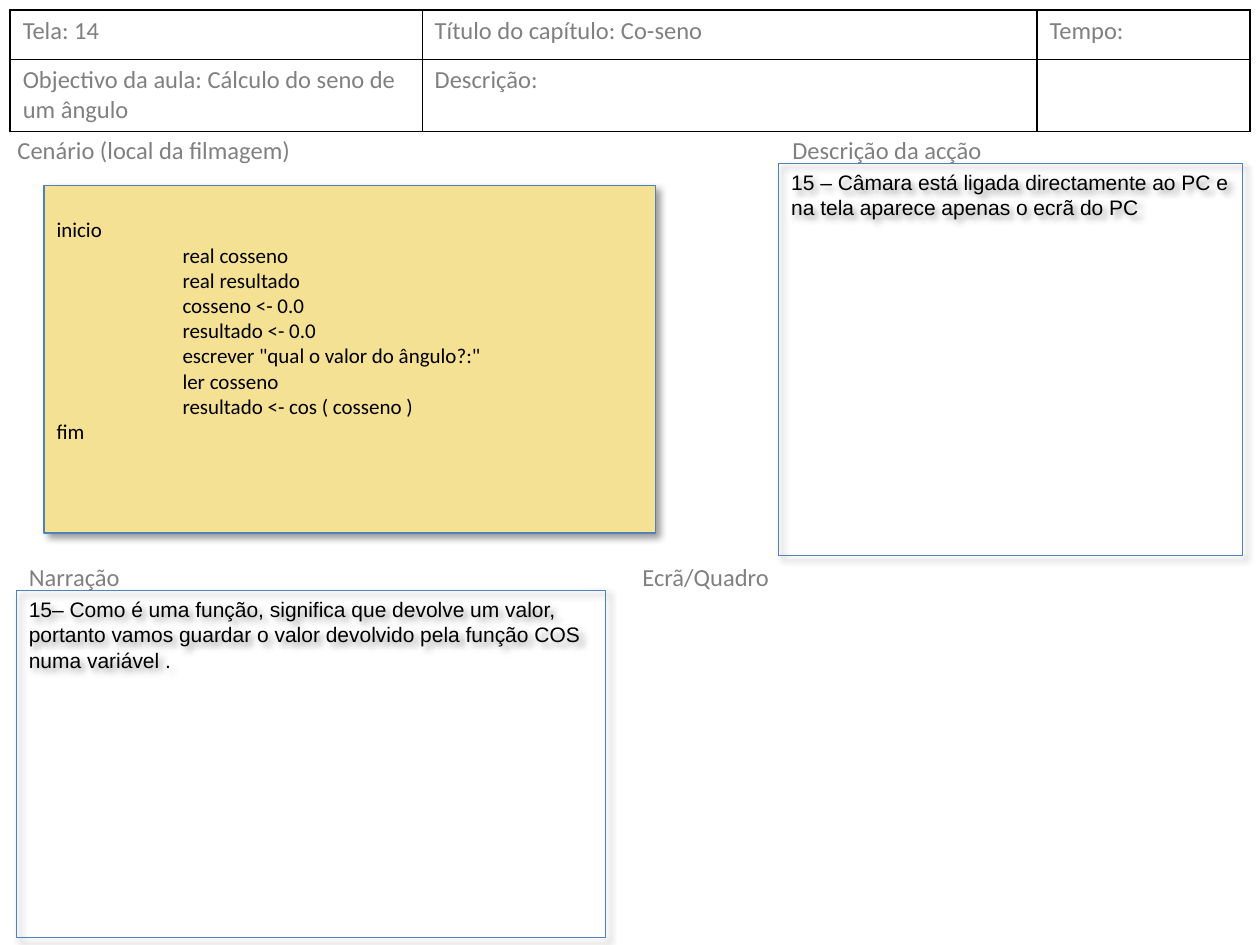
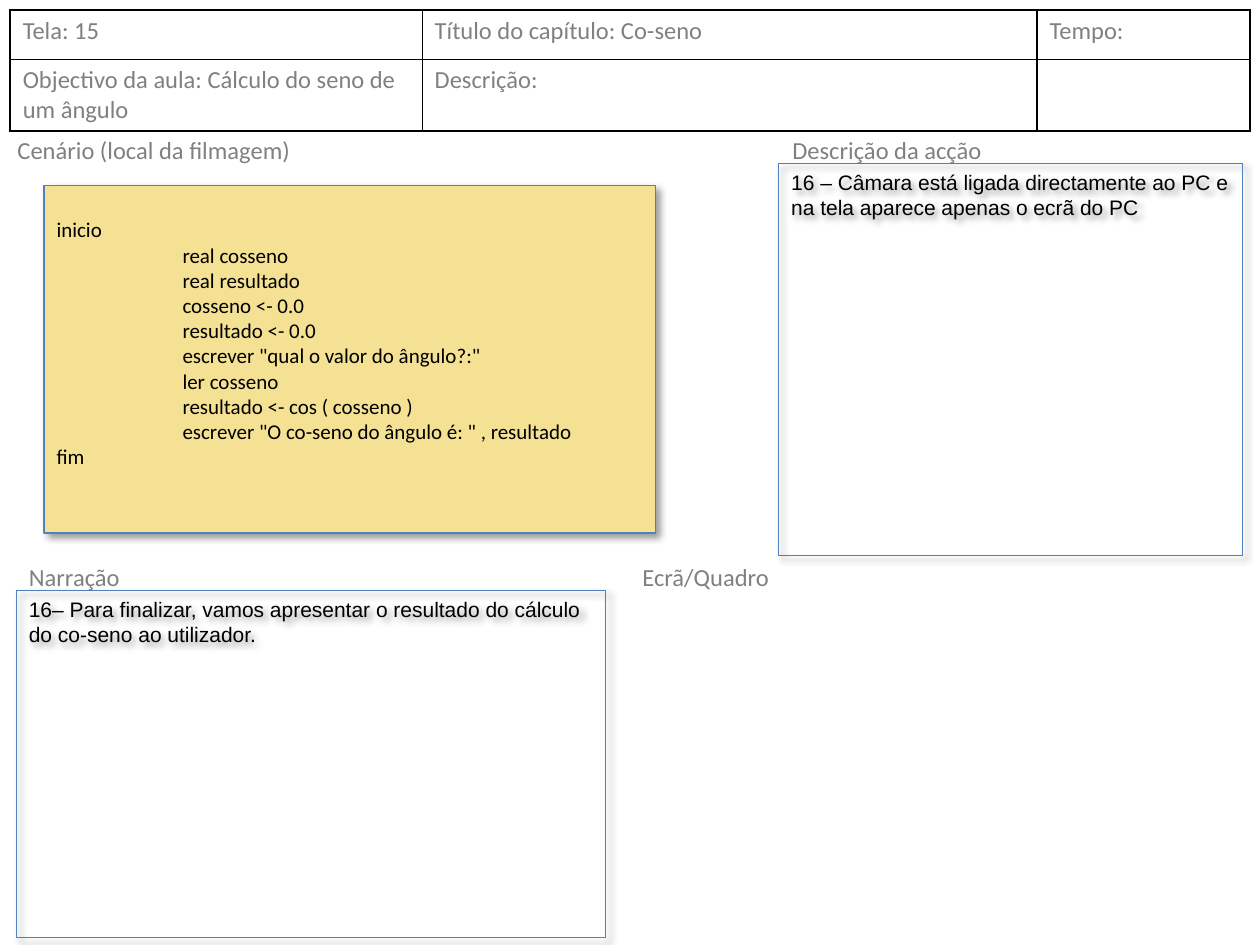
from lxml.etree import SubElement
from pptx import Presentation
from pptx.dml.color import RGBColor
from pptx.enum.shapes import MSO_SHAPE as Shape
from pptx.enum.text import MSO_ANCHOR as Anchor, MSO_AUTO_SIZE as AutoSize, PP_ALIGN as Align
from pptx.oxml.ns import qn
from pptx.util import Pt

BLACK = RGBColor(0x00, 0x00, 0x00)
GREY = RGBColor(0x80, 0x80, 0x80)
BLUE = RGBColor(0x4F, 0x81, 0xBD)
SAND = RGBColor(0xF4, 0xE1, 0x93)

LABEL_FONT = {"name": "Calibri", "size": Pt(14)}
CODE_FONT = {"name": "Calibri", "size": Pt(12)}
NOTE_FONT = {"name": "Arial", "size": Pt(12)}

COLUMN_WIDTHS = (235.4, 351.4, 121.7)
ROW_HEIGHTS = (28.1, 41)
THICK, THIN = 1, 0.5

LABELS = (
    ("Cenário (local da filmagem)", 2.9, 73.4, 300),
    ("Narração", 9.4, 317.5, 334),
    ("Ecrã/Quadro", 360, 317.5, 334),
    ("Descrição da acção", 445.7, 73.4, 181.4),
)
NARRATION_AREA = (9.4, 337.4, 336.7, 198.5)
CODE_AREA = (25.2, 106, 349.2, 198.7)
ACTION_AREA = (445, 93.4, 265, 224)

PROGRAM = (
    "real cosseno",
    "real resultado",
    "cosseno <- 0.0",
    "resultado <- 0.0",
    'escrever "qual o valor do ângulo?:"',
    "ler cosseno",
    "resultado <- cos ( cosseno )",
)
SCENES = (
    {
        "screen": 14,
        "narration": "15– Como é uma função, significa que devolve um valor, portanto "
                     "vamos guardar o valor devolvido pela função COS numa variável .",
        "program": PROGRAM,
    },
    {
        "screen": 15,
        "narration": "16– Para finalizar, vamos apresentar o resultado do cálculo "
                     "do co-seno ao utilizador.",
        "program": PROGRAM + ('escrever "O co-seno do ângulo é: " , resultado',),
    },
)


def apply_format(target, values):
    for name, value in values.items():
        setattr(target, name, value)


def write(para, text, font, color):
    span = para.add_run()
    span.text = text
    apply_format(span.font, font)
    span.font.color.rgb = color


def add_label(page, text, left, top, width):
    box = page.shapes.add_textbox(Pt(left), Pt(top), Pt(width), Pt(24.5))
    apply_format(box.text_frame, {"word_wrap": True, "auto_size": AutoSize.SHAPE_TO_FIT_TEXT})
    write(box.text_frame.paragraphs[0], text, LABEL_FONT, GREY)


def add_shadow(box):
    box.shadow.inherit = False
    effects = box._element.spPr.find(qn("a:effectLst"))
    shadow = SubElement(effects, qn("a:outerShdw"), blurRad=str(Pt(4)), dist=str(Pt(3)),
                        dir="2700000", algn="tl", rotWithShape="0")
    color = SubElement(shadow, qn("a:srgbClr"), val=str(BLACK))
    SubElement(color, qn("a:alpha"), val="40000")


def add_panel(page, area, lines, font, fill=None, margin_top=3.6):
    box = page.shapes.add_shape(Shape.RECTANGLE, *map(Pt, area))
    add_shadow(box)
    if fill is None:
        box.fill.background()
    else:
        box.fill.solid()
        box.fill.fore_color.rgb = fill
    box.line.color.rgb = BLUE
    box.line.width = Pt(0.75)
    frame = box.text_frame
    apply_format(frame, {"word_wrap": True, "vertical_anchor": Anchor.TOP,
                         "margin_top": Pt(margin_top)})
    for index, (text, indent) in enumerate(lines):
        para = frame.paragraphs[0] if index == 0 else frame.add_paragraph()
        para.alignment = Align.LEFT
        if indent:
            para._p.get_or_add_pPr().set("marL", str(Pt(indent)))
        write(para, text, font, BLACK)


def set_borders(cell, widths):
    properties = cell._tc.get_or_add_tcPr()
    for side, width in zip("LRTB", widths):
        edge = SubElement(properties, qn(f"a:ln{side}"), w=str(Pt(width)))
        fill = SubElement(edge, qn("a:solidFill"))
        SubElement(fill, qn("a:srgbClr"), val=str(BLACK))


def add_header(page, screen):
    texts = (
        (f"Tela: {screen}", "Título do capítulo: Co-seno", "Tempo:"),
        ("Objectivo da aula: Cálculo do seno de um ângulo", "Descrição:", ""),
    )
    table = page.shapes.add_table(2, 3, Pt(5.8), Pt(5.8), Pt(sum(COLUMN_WIDTHS)),
                                  Pt(sum(ROW_HEIGHTS))).table
    apply_format(table, {"first_row": False, "horz_banding": False})
    for column, width in zip(table.columns, COLUMN_WIDTHS):
        column.width = Pt(width)
    for row, height in zip(table.rows, ROW_HEIGHTS):
        row.height = Pt(height)
    vertical = (THICK, THIN, THICK, THICK)
    horizontal = (THICK, THIN, THICK)
    for r, row_texts in enumerate(texts):
        for c, text in enumerate(row_texts):
            cell = table.cell(r, c)
            set_borders(cell, vertical[c:c + 2] + horizontal[r:r + 2])
            cell.fill.background()
            if text:
                write(cell.text_frame.paragraphs[0], text, LABEL_FONT, GREY)


def add_scene(deck, scene):
    page = deck.slides.add_slide(deck.slide_layouts[6])
    add_header(page, scene["screen"])
    add_panel(page, NARRATION_AREA, [(scene["narration"], 0)], NOTE_FONT)
    code = [("inicio", 0), *((line, 72) for line in scene["program"]), ("fim", 0)]
    add_panel(page, CODE_AREA, code, CODE_FONT, fill=SAND, margin_top=18)
    action = (f"{scene['screen'] + 1} – Câmara está ligada directamente ao PC e "
              "na tela aparece apenas o ecrã do PC")
    add_panel(page, ACTION_AREA, [(action, 0)], NOTE_FONT)
    for label in LABELS:
        add_label(page, *label)


def main():
    deck = Presentation()
    apply_format(deck, {"slide_width": Pt(720), "slide_height": Pt(540)})
    for scene in SCENES:
        add_scene(deck, scene)
    deck.save("out.pptx")


if __name__ == "__main__":
    main()
